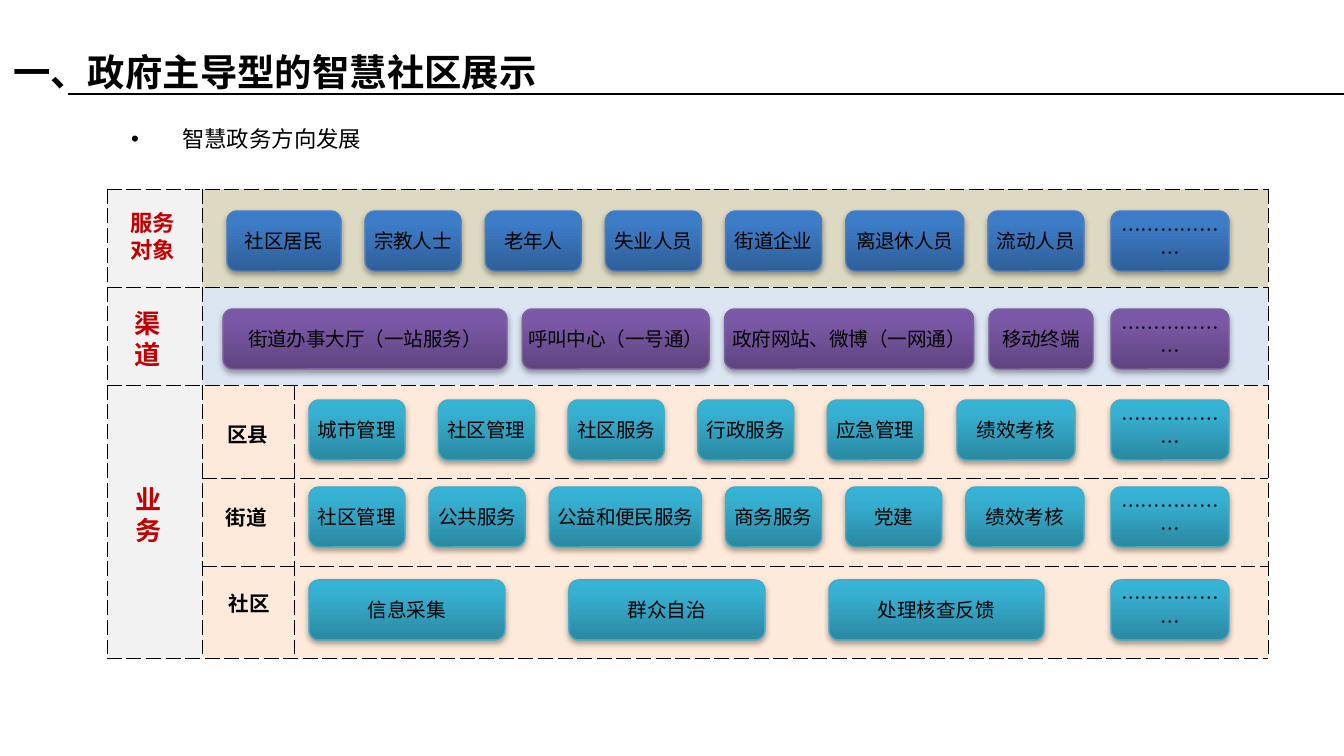
from dataclasses import dataclass

import lxml.etree
import pptx
import pptx.dml.color
import pptx.enum.shapes
import pptx.enum.text
import pptx.oxml
import pptx.oxml.ns
import pptx.util

SCALE = 914400 / 134.4
CJK = "Noto Sans CJK SC"
NS = 'xmlns:a="http://schemas.openxmlformats.org/drawingml/2006/main"'
HUES = {
    "ink": "000000", "red": "C00000", "grey": "F2F2F2",
    "sand": "DDD9C3", "sky": "DCE6F2", "peach": "FDEADA",
    "blue": "2F5F99 3D7CC7 3A7CCB", "blue_edge": "4B7EBC",
    "plum": "5F4480 7B58A6 7C57A8", "plum_edge": "7D60A0",
    "teal": "2A88A2 37B1D2 34B4D6", "teal_edge": "46AAC5",
}


@dataclass
class Row:
    top: int
    left: int
    right: int
    hue: str
    items: list[tuple[str, int]]


@dataclass
class Label:
    text: str
    box: tuple[int, int, int, int]
    size: int
    hue: str


ROWS = [
    Row(211, 227, 1084, "blue", [
        ("社区居民", 114), ("宗教人士", 96), ("老年人", 96), ("失业人员", 96),
        ("街道企业", 96), ("离退休人员", 118), ("流动人员", 96)]),
    Row(309, 223, 1093, "plum", [
        ("街道办事大厅（一站服务）", 284), ("呼叫中心（一号通）", 187),
        ("政府网站、微博（一网通）", 249), ("移动终端", 104)]),
    Row(400, 309, 1075, "teal", [
        ("城市管理", 96), ("社区管理", 96), ("社区服务", 96),
        ("行政服务", 96), ("应急管理", 96), ("绩效考核", 118)]),
    Row(487, 309, 1084, "teal", [
        ("社区管理", 96), ("公共服务", 96), ("公益和便民服务", 152),
        ("商务服务", 96), ("党建", 96), ("绩效考核", 118)]),
    Row(580, 309, 1044, "teal", [
        ("信息采集", 196), ("群众自治", 196), ("处理核查反馈", 215)]),
]
LABELS = [
    Label("服务对象", (119, 206, 68, 60), 12, "red"),
    Label("渠道", (126, 305, 44, 67), 14, "red"),
    Label("业务", (127, 481, 44, 67), 14, "red"),
    Label("区县", (223, 421, 50, 27), 11, "ink"),
    Label("街道", (219, 504, 55, 27), 11, "ink"),
    Label("社区", (222, 590, 55, 27), 11, "ink"),
]
COLS = [95, 92, 974]
BANDS = [(98, "sand"), (98, "sky"), (93, "peach"), (88, "peach"), (92, "peach")]


def px(n: float) -> int:
    return round(n * SCALE)


def rgb(hue: str) -> pptx.dml.color.RGBColor:
    return pptx.dml.color.RGBColor.from_string(HUES[hue])


def style(par, size: float, hue: str, bold: bool = False, face: str = CJK) -> None:
    font = par.font
    font.size = pptx.util.Pt(size)
    font.name = face
    font.bold = bold
    font.color.rgb = rgb(hue)
    props = par._p.find(".//" + pptx.oxml.ns.qn("a:defRPr"))
    lxml.etree.SubElement(props, pptx.oxml.ns.qn("a:ea"), typeface=CJK)


def write(shape, text: str, size: float, hue: str, bold: bool) -> None:
    frame = shape.text_frame
    frame.word_wrap = True
    frame.vertical_anchor = pptx.enum.text.MSO_ANCHOR.MIDDLE
    frame.margin_left = frame.margin_right = 0
    frame.margin_top = frame.margin_bottom = 0
    par = frame.paragraphs[0]
    par.text = text
    par.alignment = pptx.enum.text.PP_ALIGN.CENTER
    style(par, size, hue, bold)


def block(slide, box: tuple[float, float, float, float]):
    kind = pptx.enum.shapes.MSO_SHAPE.ROUNDED_RECTANGLE
    shape = slide.shapes.add_shape(kind, *map(px, box))
    shape.shadow.inherit = False
    return shape


def tile(slide, text: str, left: float, top: int, width: int, hue: str) -> None:
    shape = block(slide, (left, top, width, 60))
    shape.fill.gradient()
    shape.fill.gradient_angle = 90
    props = shape._element.spPr
    stops = props.find(".//" + pptx.oxml.ns.qn("a:gsLst"))
    for stop in list(stops):
        stops.remove(stop)
    for spot, tone in zip((0, 80000, 100000), HUES[hue].split()):
        stops.append(pptx.oxml.parse_xml(
            f'<a:gs {NS} pos="{spot}"><a:srgbClr val="{tone}"/></a:gs>'))
    shape.line.color.rgb = rgb(hue + "_edge")
    shape.line.width = pptx.util.Pt(0.75)
    props.find(pptx.oxml.ns.qn("a:effectLst")).append(pptx.oxml.parse_xml(
        f'<a:outerShdw {NS} blurRad="40000" dist="23000" dir="5400000" rotWithShape="0">'
        '<a:srgbClr val="000000"><a:alpha val="35000"/></a:srgbClr></a:outerShdw>'))
    write(shape, text, 10.5, "ink", False)


def fill_row(slide, row: Row) -> None:
    used = sum(width for _, width in row.items)
    gap = (row.right - row.left - used) / (len(row.items) - 1)
    left = row.left
    for text, width in row.items:
        tile(slide, text, left, row.top, width, row.hue)
        left += width + gap
    tile(slide, "………………", 1111, row.top, 118, row.hue)


def tag(slide, label: Label) -> None:
    shape = block(slide, label.box)
    shape.fill.background()
    shape.line.fill.background()
    write(shape, label.text, label.size, label.hue, True)


def paint(cell, hue: str) -> None:
    cell.fill.solid()
    cell.fill.fore_color.rgb = rgb(hue)
    props = cell._tc.get_or_add_tcPr()
    for spot, side in enumerate("LRTB"):
        props.insert(spot, pptx.oxml.parse_xml(
            f'<a:ln{side} {NS} w="3175"><a:solidFill><a:srgbClr val="{HUES["ink"]}"/>'
            f'</a:solidFill><a:prstDash val="sysDash"/></a:ln{side}>'))


def grid(slide) -> None:
    high = sum(tall for tall, _ in BANDS)
    box = map(px, (107, 189, sum(COLS), high))
    table = slide.shapes.add_table(len(BANDS), len(COLS), *box).table
    for col, wide in zip(table.columns, COLS):
        col.width = px(wide)
    for i, (tall, hue) in enumerate(BANDS):
        table.rows[i].height = px(tall)
        for j in range(len(COLS)):
            paint(table.cell(i, j), hue if j else "grey")
    for i in range(2):
        table.cell(i, 1).merge(table.cell(i, 2))
    table.cell(2, 0).merge(table.cell(4, 0))


def head(slide, text: str, box: tuple[int, int, int, int], dent: int):
    frame = slide.shapes.add_textbox(*map(px, box)).text_frame
    frame.word_wrap = True
    par = frame.paragraphs[0]
    par.text = text
    par.line_spacing = 1.5
    props = par._p.get_or_add_pPr()
    props.set("marL", str(px(dent)))
    props.set("indent", str(-px(dent)))
    return frame


def main() -> None:
    deck = pptx.Presentation()
    deck.slide_width, deck.slide_height = px(1344), px(756)
    slide = deck.slides.add_slide(deck.slide_layouts[6])

    rule = slide.shapes.add_connector(
        pptx.enum.shapes.MSO_CONNECTOR.STRAIGHT, *map(px, (68, 94, 1344, 94)))
    rule.line.color.rgb = rgb("ink")
    rule.line.width = pptx.util.Pt(0.75)
    lxml.etree.SubElement(rule._element.spPr, pptx.oxml.ns.qn("a:effectLst"))

    grid(slide)
    title = head(slide, "一、政府主导型的智慧社区展示", (0, 30, 1210, 60), 59)
    title.vertical_anchor = pptx.enum.text.MSO_ANCHOR.MIDDLE
    style(title.paragraphs[0], 20, "ink", True)

    point = head(slide, "智慧政务方向发展", (118, 105, 1226, 54), 51).paragraphs[0]
    props = point._p.get_or_add_pPr()
    props.append(pptx.oxml.parse_xml(f'<a:buFont {NS} typeface="Arial"/>'))
    props.append(pptx.oxml.parse_xml(f'<a:buChar {NS} char="•"/>'))
    style(point, 12, "ink", face="Calibri")

    for row in ROWS:
        fill_row(slide, row)
    for label in LABELS:
        tag(slide, label)
    deck.save("out.pptx")


if __name__ == "__main__":
    main()
